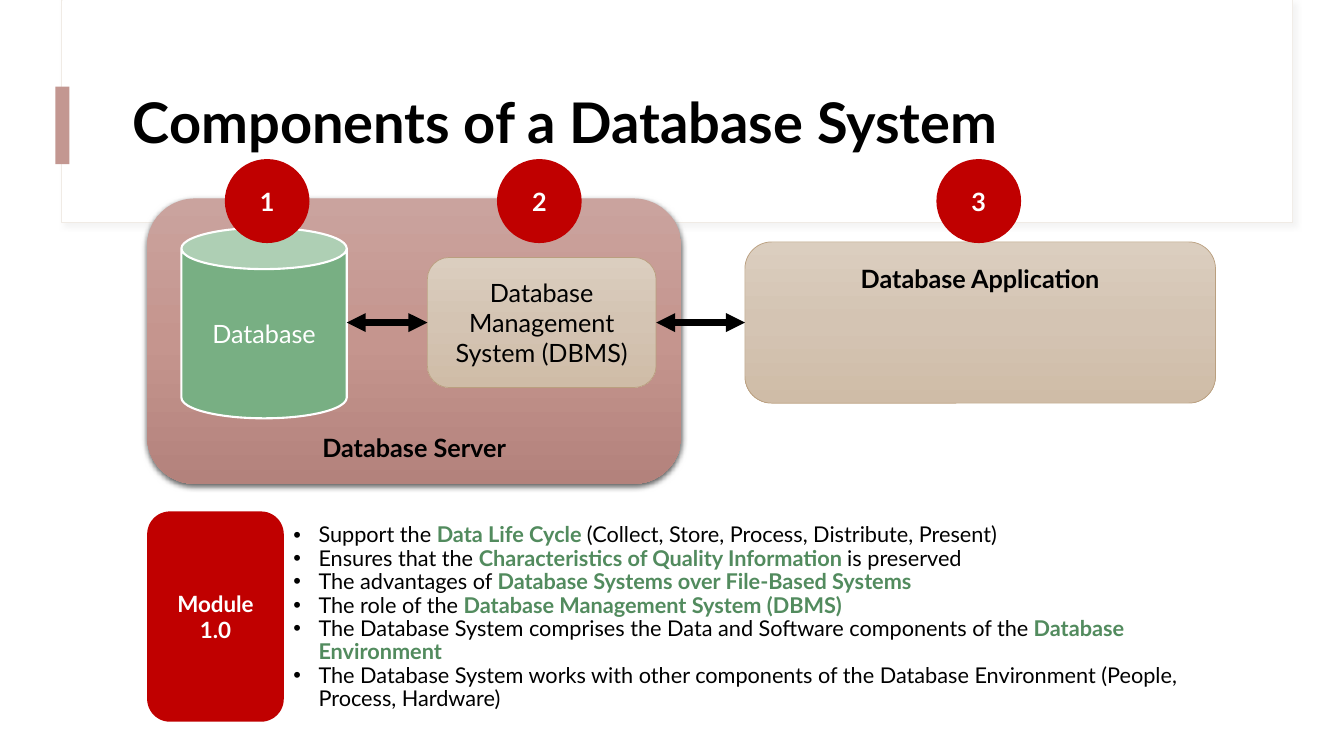
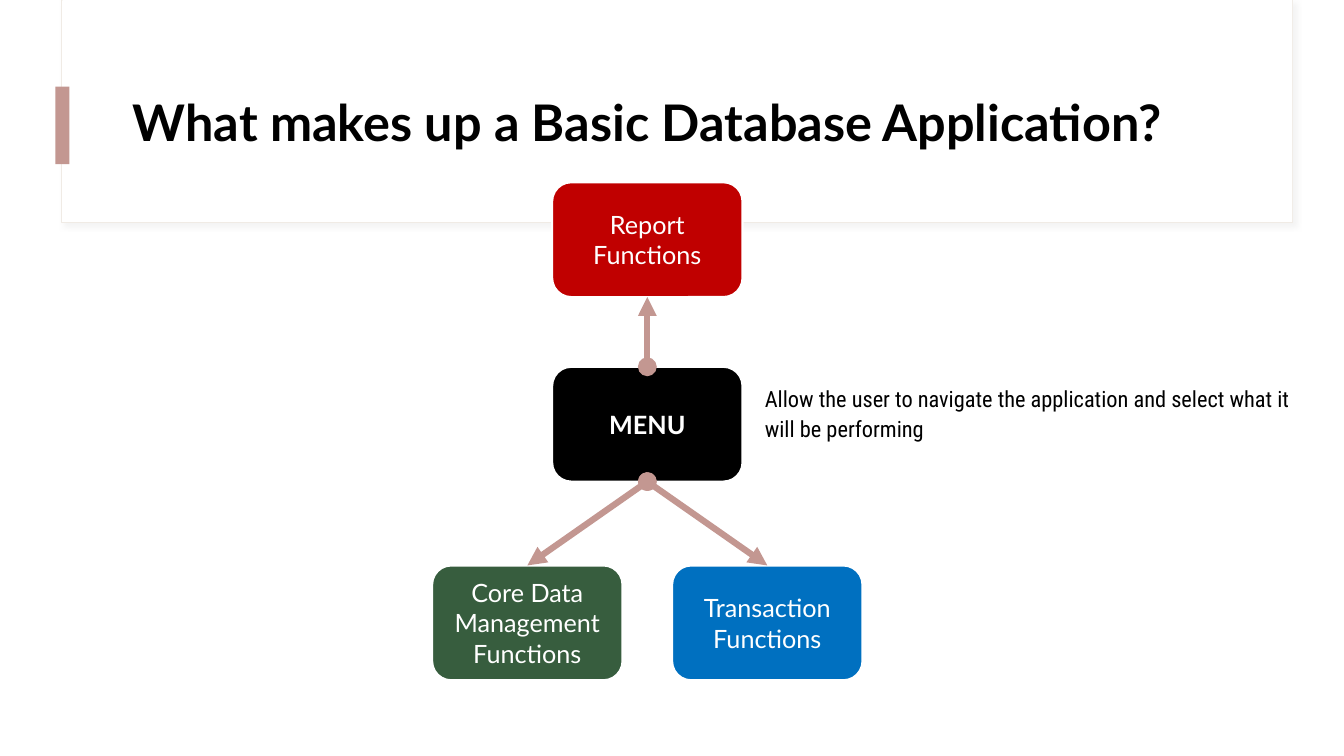
"""Build two slides about database systems."""
import pptx
import pptx.util
import pptx.dml.color
import pptx.enum.shapes
import pptx.enum.text
import pptx.oxml.ns
from lxml import etree

Pt = pptx.util.Pt
Shape = pptx.enum.shapes.MSO_SHAPE
Align = pptx.enum.text.PP_ALIGN
Anchor = pptx.enum.text.MSO_ANCHOR
qn = pptx.oxml.ns.qn

COLORS = {
    "white": "FFFFFF", "black": "000000", "red": "C00000", "rose": "C39791",
    "frame": "F0EBE5", "frame shadow": "D9D9D9", "emphasis": "528B5E",
    "database": "78AF83", "sand line": "BA9F7F", "green": "375D3E", "blue": "0070C0",
}
GRADIENTS = {
    "rose": ("CAA39E", "C5958E", "B3827C"),
    "sand": ("DBCEBF", "D4C4B3", "CFBCA7"),
}


def rgb(name):
    return pptx.dml.color.RGBColor.from_string(COLORS[name])


def write_text(frame, paragraphs, size=18, color="white", bold=False, font="Lato",
               align=Align.CENTER, anchor=Anchor.MIDDLE, spacing=1.0, indent=0):
    frame.word_wrap = True
    frame.auto_size = pptx.enum.text.MSO_AUTO_SIZE.NONE
    frame.vertical_anchor = anchor
    for index, pieces in enumerate(paragraphs):
        paragraph = frame.add_paragraph() if index else frame.paragraphs[0]
        paragraph.alignment = align
        paragraph.line_spacing = spacing
        paragraph.space_before = Pt(0)
        if indent:
            properties = paragraph._p.get_or_add_pPr()
            properties.set("marL", str(Pt(indent)))
            properties.set("indent", str(-Pt(indent)))
        pieces = (pieces,) if isinstance(pieces, str) else pieces
        for position, piece in enumerate(pieces):
            emphasized = position % 2 == 1
            run = paragraph.add_run()
            run.text = piece
            run.font.name = font
            run.font.size = Pt(size)
            run.font.bold = bold or emphasized
            run.font.color.rgb = rgb("emphasis" if emphasized else color)


class Deck:
    def __init__(self):
        self.presentation = pptx.Presentation()
        self.presentation.slide_width = Pt(960)
        self.presentation.slide_height = Pt(540)
        self.slide = None

    def add_slide(self, layout, title, size):
        self.slide = self.presentation.slides.add_slide(self.presentation.slide_layouts[layout])
        if len(self.presentation.slides) == 1:
            self.decorate_master()
        self.place(self.slide.shapes.title, 87.8, 43.2, 800.6, 92.9)
        write_text(self.slide.shapes.title.text_frame, [title], size=size, color="black",
                   bold=True, align=Align.LEFT, spacing=0.9)

    def decorate_master(self):
        bands = [
            self.shape(Shape.RECTANGLE, 44, 0, 879, 159, fill="white", line="frame",
                       line_width=0.75, shadow=("frame shadow", 30, 4, 3, 45)),
            self.shape(Shape.RECTANGLE, 44.6, 0, 878.4, 158.4, fill="white"),
            self.shape(Shape.RECTANGLE, 39.6, 61.9, 10.1, 55.4, fill="rose"),
        ]
        tree = self.presentation.slide_master.shapes.element
        for index, band in enumerate(bands):
            band.element.nvSpPr.cNvPr.set("id", str(100 + index))
            tree.insert(2 + index, band.element)

    def place(self, shape, left, top, width, height):
        shape.left, shape.top = Pt(left), Pt(top)
        shape.width, shape.height = Pt(width), Pt(height)

    def shape(self, kind, left, top, width, height, fill=None, gradient=None, line=None,
              line_width=1.5, shadow=None, text=(), **text_format):
        shape = self.slide.shapes.add_shape(kind, Pt(left), Pt(top), Pt(width), Pt(height))
        if gradient:
            self.fill_gradient(shape, GRADIENTS[gradient])
        else:
            shape.fill.solid()
            shape.fill.fore_color.rgb = rgb(fill)
        if line:
            shape.line.color.rgb = rgb(line)
            shape.line.width = Pt(line_width)
        else:
            shape.line.fill.background()
        shape.shadow.inherit = False
        if shadow:
            self.cast_shadow(shape, *shadow)
        if text:
            write_text(shape.text_frame, text, **text_format)
        return shape

    def fill_gradient(self, shape, colors):
        shape.fill.gradient()
        shape.fill.gradient_angle = 270
        stops = shape.element.spPr.find(".//" + qn("a:gsLst"))
        for stop in list(stops):
            stops.remove(stop)
        for index, color in enumerate(colors):
            stop = etree.SubElement(stops, qn("a:gs"), pos=str(index * 50000))
            etree.SubElement(stop, qn("a:srgbClr"), val=color)

    def cast_shadow(self, shape, color, opacity, blur, distance, angle):
        effects = shape.element.spPr.find(qn("a:effectLst"))
        shadow = etree.SubElement(effects, qn("a:outerShdw"), blurRad=str(Pt(blur)),
                                  dist=str(Pt(distance)), dir=str(angle * 60000),
                                  algn="ctr", rotWithShape="0")
        tint = etree.SubElement(shadow, qn("a:srgbClr"), val=COLORS[color])
        etree.SubElement(tint, qn("a:alpha"), val=str(opacity * 1000))

    def arrow(self, start, end, color, head):
        connector = self.slide.shapes.add_connector(
            pptx.enum.shapes.MSO_CONNECTOR.STRAIGHT, *(Pt(value) for value in start + end))
        connector.line.color.rgb = rgb(color)
        connector.line.width = Pt(4.5)
        line = connector.element.spPr.find(qn("a:ln"))
        etree.SubElement(line, qn("a:headEnd"), type=head)
        etree.SubElement(line, qn("a:tailEnd"), type="triangle")
        etree.SubElement(connector.element.spPr, qn("a:effectLst"))

    def bullets(self, left, top, width, height, items, size):
        body = self.slide.placeholders[1]
        self.place(body, left, top, width, height)
        write_text(body.text_frame, items, size=size, color="black", align=Align.LEFT,
                   anchor=Anchor.TOP, spacing=0.9, indent=18)

    def text_box(self, left, top, width, height, text, **text_format):
        box = self.slide.shapes.add_textbox(Pt(left), Pt(top), Pt(width), Pt(height))
        write_text(box.text_frame, text, **text_format)


def build_components(deck):
    deck.add_slide(1, "Components of a Database System", 40)
    server = deck.shape(Shape.ROUNDED_RECTANGLE, 105.1, 141.8, 381.6, 203.8, gradient="rose",
                        shadow=("black", 63, 4.5, 1.5, 90), text=["Database Server"],
                        color="black", bold=True, anchor=Anchor.BOTTOM)
    server.text_frame.margin_bottom = Pt(5)
    deck.bullets(202.3, 370.8, 686.2, 149.8, [
        ("Support the ", "Data Life Cycle ", "(Collect, Store, Process, Distribute, Present)"),
        ("Ensures that the ", "Characteristics of Quality Information ", "is preserved"),
        ("The advantages of ", "Database Systems over File-Based Systems"),
        ("The role of the ", "Database Management System (DBMS)"),
        ("The Database System comprises the Data and Software components of the ",
         "Database Environment"),
        "The Database System works with other components of the Database Environment "
        "(People, Process, Hardware)",
    ], size=15.5)
    deck.shape(Shape.CAN, 129.6, 162.7, 118.1, 136.1, fill="database", line="white",
               text=["Database"])
    sand = {"gradient": "sand", "line": "sand line", "line_width": 0.5, "color": "black"}
    deck.shape(Shape.ROUNDED_RECTANGLE, 305.3, 183.9, 163.4, 92.9,
               text=["Database Management System (DBMS)"], **sand)
    application = deck.shape(Shape.ROUNDED_RECTANGLE, 532.1, 172.8, 336.2, 115.2,
                             text=["Database Application"], bold=True, anchor=Anchor.TOP, **sand)
    application.text_frame.margin_top = Pt(9.4)
    for start, end in ((247.7, 305.3), (468.7, 532.1)):
        deck.arrow((start, 230.4), (end, 230.4), "black", "triangle")
    for number, left in enumerate((160.6, 355, 668.9), 1):
        deck.shape(Shape.OVAL, left, 113.6, 60.5, 60, fill="red", text=[str(number)], bold=True)
    deck.shape(Shape.ROUNDED_RECTANGLE, 105.1, 365.3, 97.6, 150.2, fill="red",
               text=["Module", "1.0"], size=16, bold=True)


def build_application(deck):
    deck.add_slide(5, "What makes up a Basic Database Application?", 36)
    width, height, center, offset = 136, 82, 462.4, 85.7
    report_top, menu_top, lower_top = 130.2, 262, 403.9
    for text, fill, middle, top, bold in (
        ("Core Data Management Functions", "green", center - offset, lower_top, False),
        ("Report Functions", "red", center, report_top, False),
        ("Transaction Functions", "blue", center + offset, lower_top, False),
        ("MENU", "black", center, menu_top, True),
    ):
        deck.shape(Shape.ROUNDED_RECTANGLE, middle - width / 2, top, width, height,
                   fill=fill, line="white", text=[text], bold=bold)
    deck.arrow((center, menu_top), (center, report_top + height), "rose", "oval")
    for side in (-1, 1):
        deck.arrow((center, menu_top + height), (center + side * offset, lower_top),
                   "rose", "oval")
    deck.text_box(539.3, 270, 405.4, 103.7,
                  ["Allow the user to navigate the application and select what it "
                   "will be performing"],
                  size=16, color="black", font="Roboto Condensed", align=Align.LEFT,
                  anchor=Anchor.TOP, spacing=1.1)


def main():
    deck = Deck()
    build_components(deck)
    build_application(deck)
    deck.presentation.save("out.pptx")


if __name__ == "__main__":
    main()
